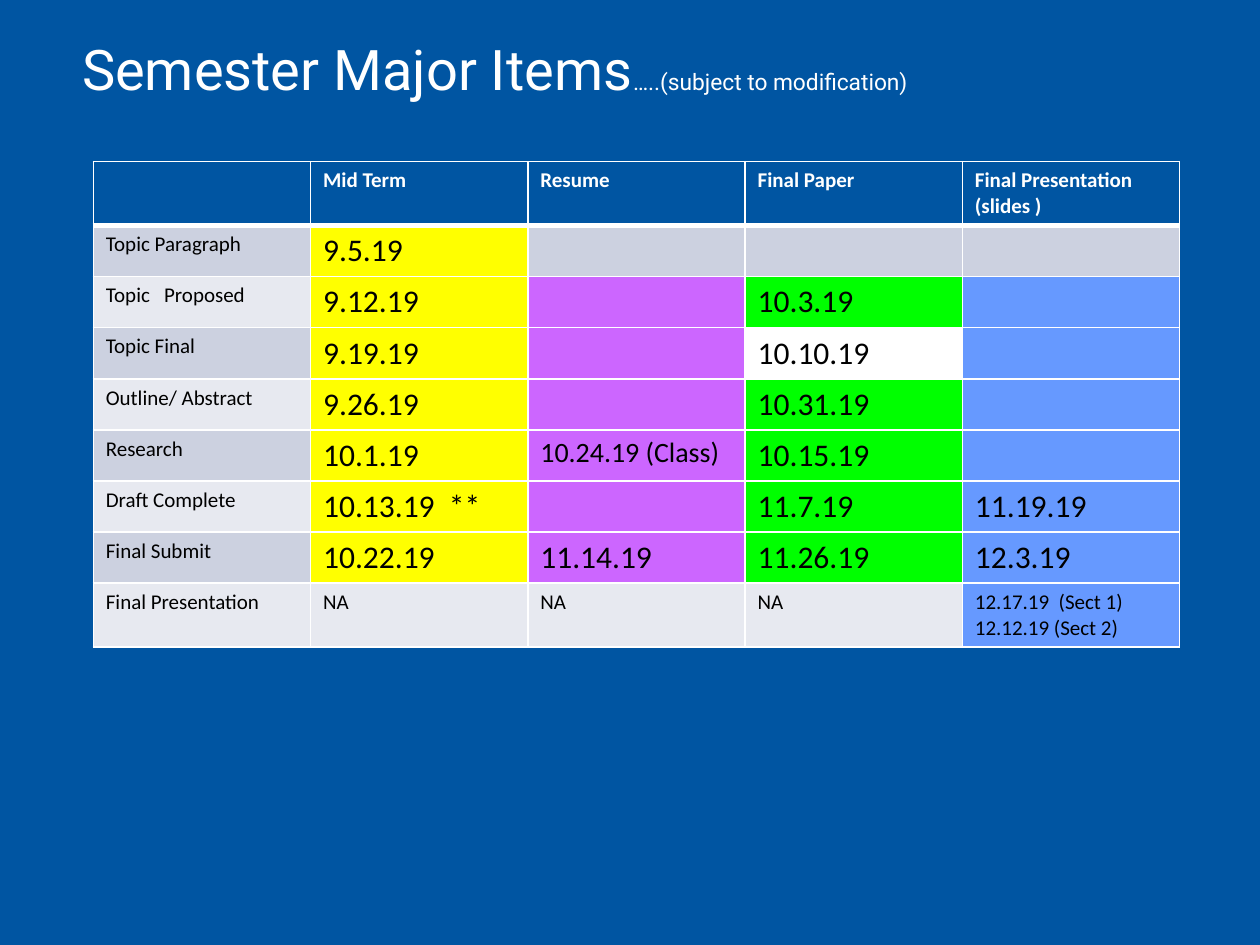
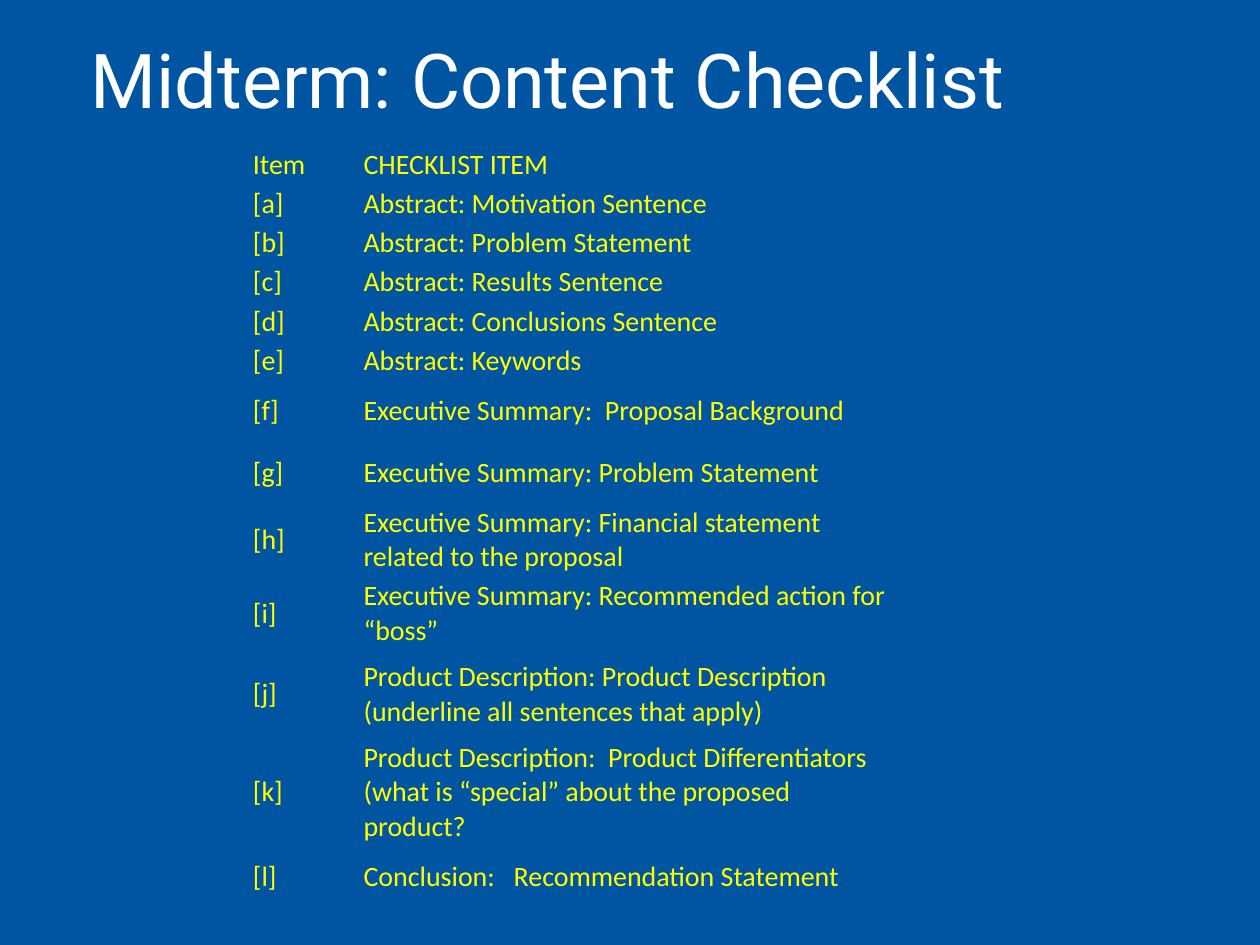
from lxml.etree import SubElement
from pptx import Presentation
from pptx.dml.color import RGBColor
from pptx.enum.text import MSO_ANCHOR, MSO_AUTO_SIZE, PP_ALIGN
from pptx.oxml.ns import qn
from pptx.util import Cm, Pt

COLORS = {
    "blue": "0055A2", "white": "FFFFFF", "black": "000000",
    "yellow": "FFFF00", "purple": "CC66FF", "green": "00FF00",
    "sky": "6699FF", "band_dark": "CCD1E0", "band_light": "E7E9F0",
}
TITLE_FONT, BODY_FONT = "Roboto", "Calibri"
NO_GRID_STYLE = "{2D5ABB26-0587-4C30-8999-92F81FD0307C}"

SCHEDULE = [
    ("", "Mid Term", "Resume", "Final Paper", "Final Presentation  (slides )"),
    ("Topic Paragraph", "9.5.19", "", "", ""),
    ("Topic   Proposed", "9.12.19", "", "10.3.19", ""),
    ("Topic Final", "9.19.19", "", "10.10.19", ""),
    ("Outline/ Abstract", "9.26.19", "", "10.31.19", ""),
    ("Research", "10.1.19", "10.24.19 (Class)", "10.15.19", ""),
    ("Draft Complete", "10.13.19  **", "", "11.7.19", "11.19.19"),
    ("Final Submit", "10.22.19", "11.14.19", "11.26.19", "12.3.19"),
    ("Final Presentation", "NA", "NA", "NA",
     "12.17.19  (Sect 1)\n12.12.19 (Sect 2)"),
]
# First and last coloured row of each schedule column
COLUMN_FILLS = {1: ("yellow", 1, 7), 2: ("purple", 2, 7),
                3: ("green", 2, 7), 4: ("sky", 2, 8)}

SHORT, MEDIUM, TALL = 0.71, 1.24, 1.78
CHECKLIST = [
    ("Abstract: Motivation Sentence", SHORT),
    ("Abstract: Problem Statement", SHORT),
    ("Abstract: Results Sentence", SHORT),
    ("Abstract: Conclusions Sentence", SHORT),
    ("Abstract: Keywords", SHORT),
    ("Executive Summary:  Proposal Background", MEDIUM),
    ("Executive Summary: Problem Statement", MEDIUM),
    ("Executive Summary: Financial statement related to the proposal", MEDIUM),
    ("Executive Summary: Recommended action for “boss”", MEDIUM),
    ("Product Description: Product Description "
     "(underline all sentences that apply)", TALL),
    ("Product Description:  Product Differentiators "
     "(what is “special” about the proposed product?", TALL),
    ("Conclusion:   Recommendation Statement", MEDIUM),
]


def rgb(name):
    return RGBColor.from_string(COLORS[name])


def set_font(font, name, size, color, bold=False):
    font.name, font.size, font.bold = name, Pt(size), bold
    font.color.rgb = rgb(color)


def add_titled_slide(prs, left, top, *parts):
    """Add a slide whose title is made of (text, size) parts."""
    s = prs.slides.add_slide(prs.slide_layouts.get_by_name("Title Only"))
    title = s.shapes.title
    title.left, title.top = Cm(left), Cm(top)
    title.width, title.height = Cm(21.9), Cm(2.46)
    tf = title.text_frame
    tf.auto_size = MSO_AUTO_SIZE.NONE
    tf.vertical_anchor = MSO_ANCHOR.MIDDLE
    p = tf.paragraphs[0]
    p.alignment = PP_ALIGN.LEFT
    p.line_spacing = 0.9
    for text, size in parts:
        r = p.add_run()
        r.text = text
        set_font(r.font, TITLE_FONT, size, "white")
    return s


def add_plain_table(s, left, top, widths, heights):
    """Add a table without style, bands or grid; lengths in cm."""
    frame = s.shapes.add_table(len(heights), len(widths), Cm(left), Cm(top),
                               Cm(sum(widths)), Cm(sum(heights)))
    table = frame.table
    table.first_row = table.horz_banding = False
    frame._element.find(".//" + qn("a:tableStyleId")).text = NO_GRID_STYLE
    for column, width in zip(table.columns, widths):
        column.width = Cm(width)
    for row, height in zip(table.rows, heights):
        row.height = Cm(height)
    return table


def write_cell(cell, text, size, color, bold=False):
    if not text:
        return
    cell.text = text
    for p in cell.text_frame.paragraphs:
        set_font(p.font, BODY_FONT, size, color, bold)


def add_borders(cell, top, bottom):
    """Draw white borders; top and bottom widths in points."""
    tc_pr = cell._tc.get_or_add_tcPr()
    for side, width in (("L", 1), ("R", 1), ("T", top), ("B", bottom)):
        ln = SubElement(tc_pr, qn(f"a:ln{side}"), w=str(Pt(width)))
        fill = SubElement(ln, qn("a:solidFill"))
        SubElement(fill, qn("a:srgbClr"), val=COLORS["white"])


def schedule_fill(row, col):
    if row == 0:
        return "blue"
    if (row, col) == (3, 3):
        return "white"
    if col in COLUMN_FILLS:
        color, first, last = COLUMN_FILLS[col]
        if first <= row <= last:
            return color
    return "band_dark" if row % 2 else "band_light"


def schedule_size(row, col, text):
    if col == 0 or row in (0, len(SCHEDULE) - 1):
        return 12
    return 16 if "Class" in text else 18


def add_schedule(s):
    table = add_plain_table(s, 1.88, 3.26, [4.38] * 5, [1.03] * len(SCHEDULE))
    for row, texts in enumerate(SCHEDULE):
        header = row == 0
        for col, text in enumerate(texts):
            cell = table.cell(row, col)
            write_cell(cell, text, schedule_size(row, col, text),
                       "white" if header else "black", header)
            add_borders(cell, 3 if row == 1 else 1, 3 if header else 1)
            cell.fill.solid()
            cell.fill.fore_color.rgb = rgb(schedule_fill(row, col))


def add_checklist(s):
    rows = [("Item", "CHECKLIST ITEM", SHORT)]
    rows += [(f"[{letter}]", text, height)
             for letter, (text, height) in zip("abcdefghijkl", CHECKLIST)]
    table = add_plain_table(s, 5, 2.92, [2.23, 10.8], [r[2] for r in rows])
    for row, texts in enumerate(rows):
        for col in range(2):
            cell = table.cell(row, col)
            write_cell(cell, texts[col], 16, "yellow")
            cell.vertical_anchor = MSO_ANCHOR.MIDDLE
            cell.margin_left = cell.margin_right = Cm(0.1)
            cell.margin_top = cell.margin_bottom = Cm(0.05)
            cell.fill.background()


def main():
    prs = Presentation()
    prs.slide_width, prs.slide_height = Cm(25.4), Cm(19.05)
    background = prs.slide_master.background.fill
    background.solid()
    background.fore_color.rgb = rgb("blue")

    add_schedule(add_titled_slide(prs, 1.4, 0.23, ("Semester Major Items", 32),
                                  ("…..(subject to modification)", 13)))
    add_checklist(add_titled_slide(prs, 1.57, 0.46,
                                   ("Midterm: Content Checklist", 43.2)))
    prs.save("out.pptx")


if __name__ == "__main__":
    main()
